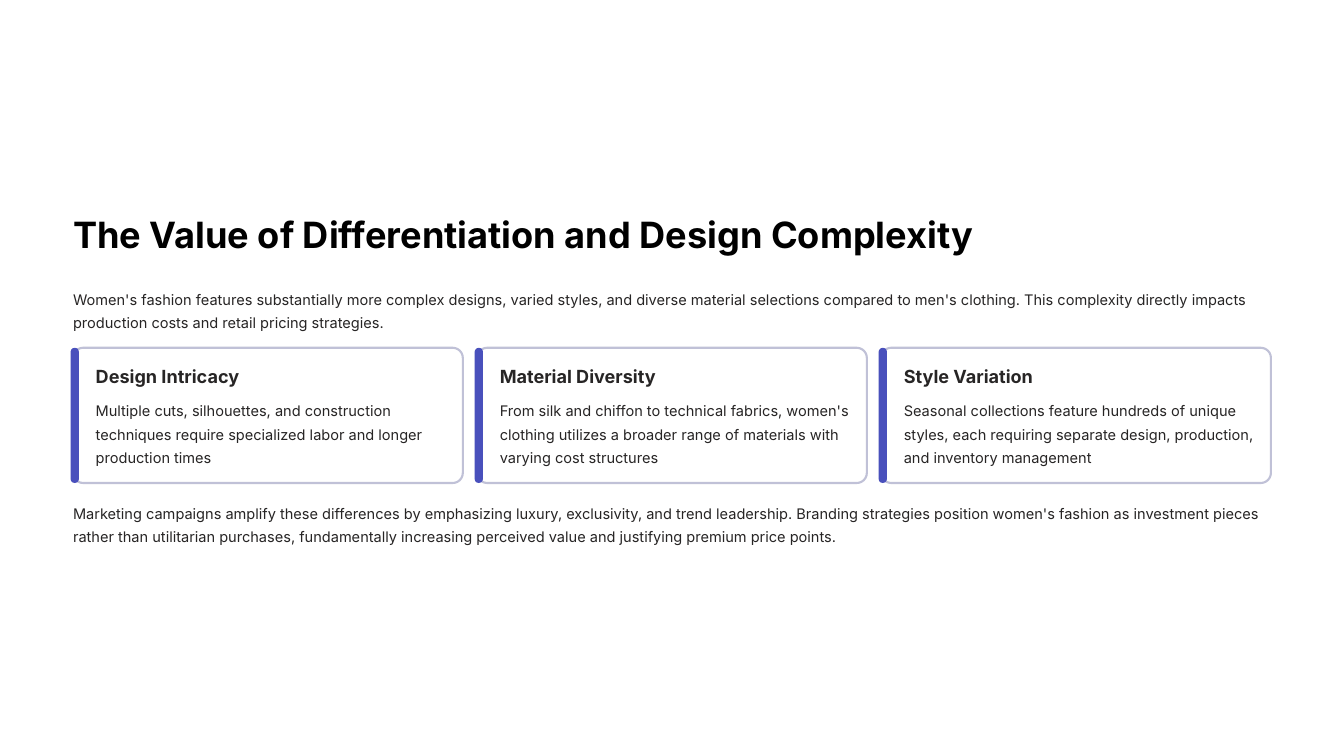
from pptx import Presentation
from pptx import util as u
from pptx.dml import color
from pptx.enum import shapes, text

TITLE = "The Value of Differentiation and Design Complexity"
INTRO = (
    "Women's fashion features substantially more complex designs, varied styles, and diverse "
    "material selections compared to men's clothing. This complexity directly impacts "
    "production costs and retail pricing strategies."
)
CARDS = [
    ("Design Intricacy",
     "Multiple cuts, silhouettes, and construction techniques require specialized labor "
     "and longer production times"),
    ("Material Diversity",
     "From silk and chiffon to technical fabrics, women's clothing utilizes a broader range "
     "of materials with varying cost structures"),
    ("Style Variation",
     "Seasonal collections feature hundreds of unique styles, each requiring separate design, "
     "production, and inventory management"),
]
CLOSING = (
    "Marketing campaigns amplify these differences by emphasizing luxury, exclusivity, and trend "
    "leadership. Branding strategies position women's fashion as investment pieces rather than "
    "utilitarian purchases, fundamentally increasing perceived value and justifying premium "
    "price points."
)

COLORS = {"background": "FFFFFF", "title": "000000", "body": "272525",
          "border": "C0C1D7", "accent": "4950BC"}
FONT = "Inter"
LEFT, CONTENT_WIDTH = 0.87, 14.26
CARD_TOP, CARD_WIDTH, CARD_HEIGHT = 4.14, 4.64, 1.61
CARD_STEP = (CONTENT_WIDTH - CARD_WIDTH) / (len(CARDS) - 1)


def rgb(name):
    return color.RGBColor.from_string(COLORS[name])


def write(shape, content, size, spacing, tint="body", bold=False):
    frame = shape.text_frame
    frame.text = content
    frame.word_wrap = True
    frame.auto_size = text.MSO_AUTO_SIZE.NONE
    frame.vertical_anchor = text.MSO_ANCHOR.TOP
    frame.margin_left = frame.margin_right = frame.margin_top = frame.margin_bottom = 0
    paragraph = frame.paragraphs[0]
    paragraph.alignment = text.PP_ALIGN.LEFT
    paragraph.line_spacing = u.Pt(spacing)
    font = paragraph.runs[0].font
    font.name, font.size, font.bold = FONT, u.Pt(size), bold
    font.color.rgb = rgb(tint)


def add_text(slide, box, content, size=12.5, spacing=20, bold=False):
    shape = slide.shapes.add_textbox(*map(u.Inches, box))
    write(shape, content, size, spacing, bold=bold)


def add_panel(slide, box, fill, rounding, border=None):
    shape = slide.shapes.add_shape(shapes.MSO_SHAPE.ROUNDED_RECTANGLE, *map(u.Inches, box))
    shape.shadow.inherit = False
    shape.adjustments[0] = rounding
    shape.fill.solid()
    shape.fill.fore_color.rgb = rgb(fill)
    if border:
        shape.line.color.rgb = rgb(border)
        shape.line.width = u.Pt(1.8)
    else:
        shape.line.fill.background()


def add_card(slide, left, heading, body):
    add_panel(slide, (left, CARD_TOP, CARD_WIDTH, CARD_HEIGHT), "background", 0.075, "border")
    add_panel(slide, (left - 0.03, CARD_TOP, 0.1, CARD_HEIGHT), "accent", 0.5)
    add_text(slide, (left + 0.27, CARD_TOP + 0.2, 4.17, 0.27), heading, 15.5, 19.5, True)
    add_text(slide, (left + 0.27, CARD_TOP + 0.58, 4.17, 0.83), body)


def main():
    presentation = Presentation()
    presentation.slide_width, presentation.slide_height = u.Inches(16), u.Inches(9)
    slide = presentation.slides.add_slide(presentation.slide_layouts[5])
    slide.background.fill.solid()
    slide.background.fill.fore_color.rgb = rgb("background")

    title = slide.shapes.title
    title.left, title.top = u.Inches(LEFT), u.Inches(2.5)
    title.width, title.height = u.Inches(CONTENT_WIDTH), u.Inches(0.54)
    write(title, TITLE, 31, 39, "title", True)

    add_text(slide, (LEFT, 3.39, CONTENT_WIDTH, 0.56), INTRO)
    for index, (heading, body) in enumerate(CARDS):
        add_card(slide, LEFT + index * CARD_STEP, heading, body)
    add_text(slide, (LEFT, 5.94, CONTENT_WIDTH, 0.56), CLOSING)
    presentation.save("out.pptx")


if __name__ == "__main__":
    main()
